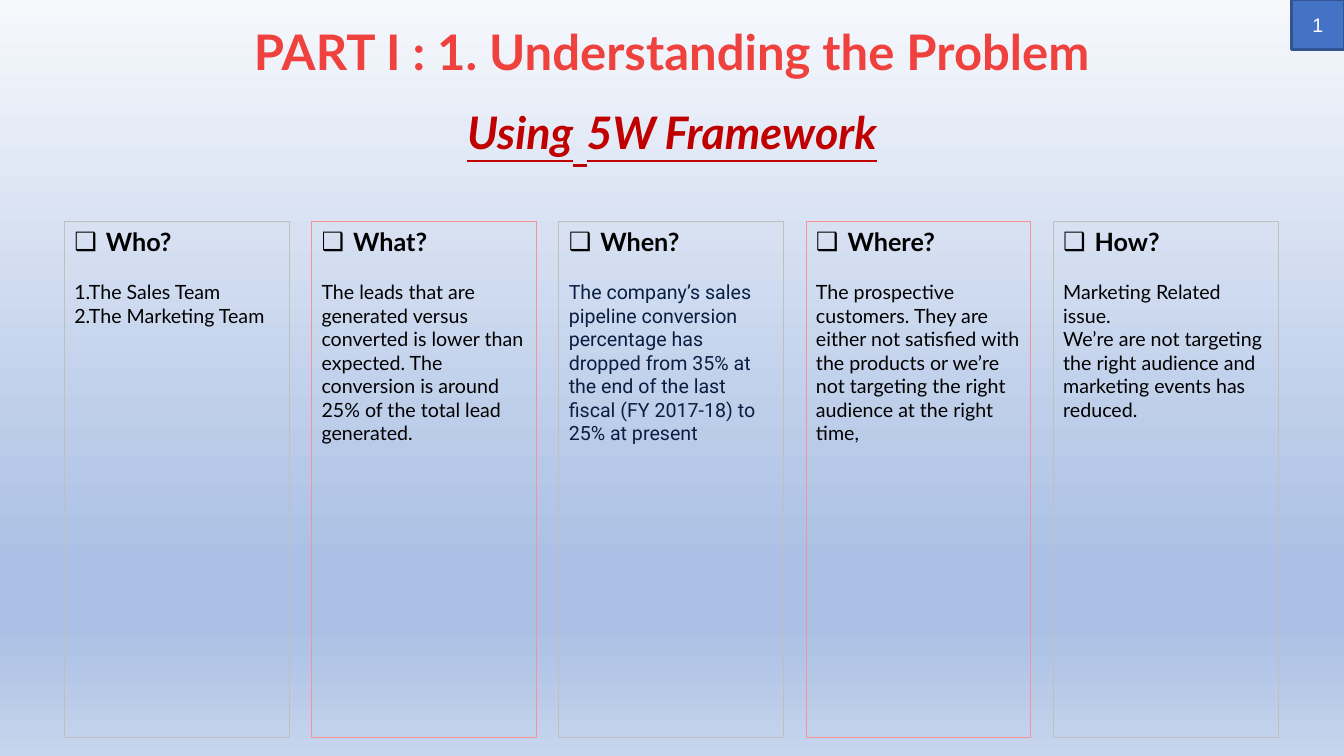
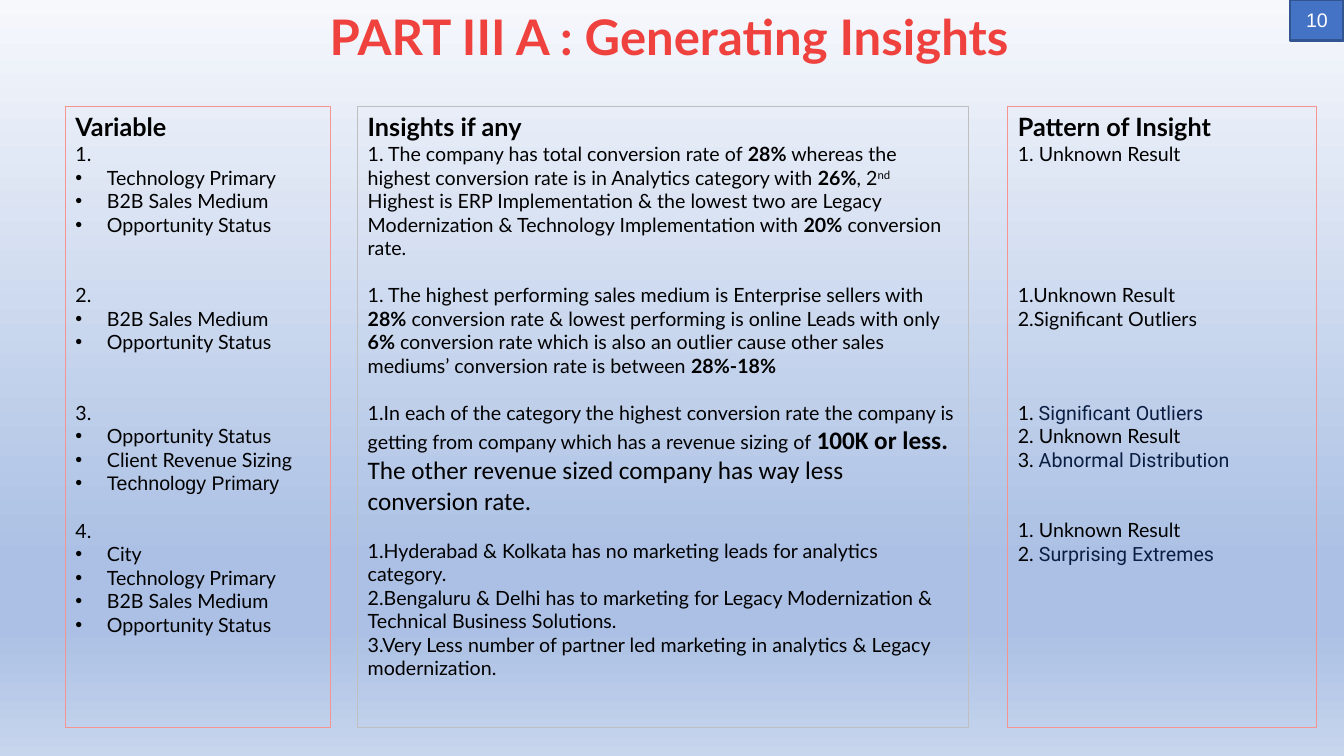
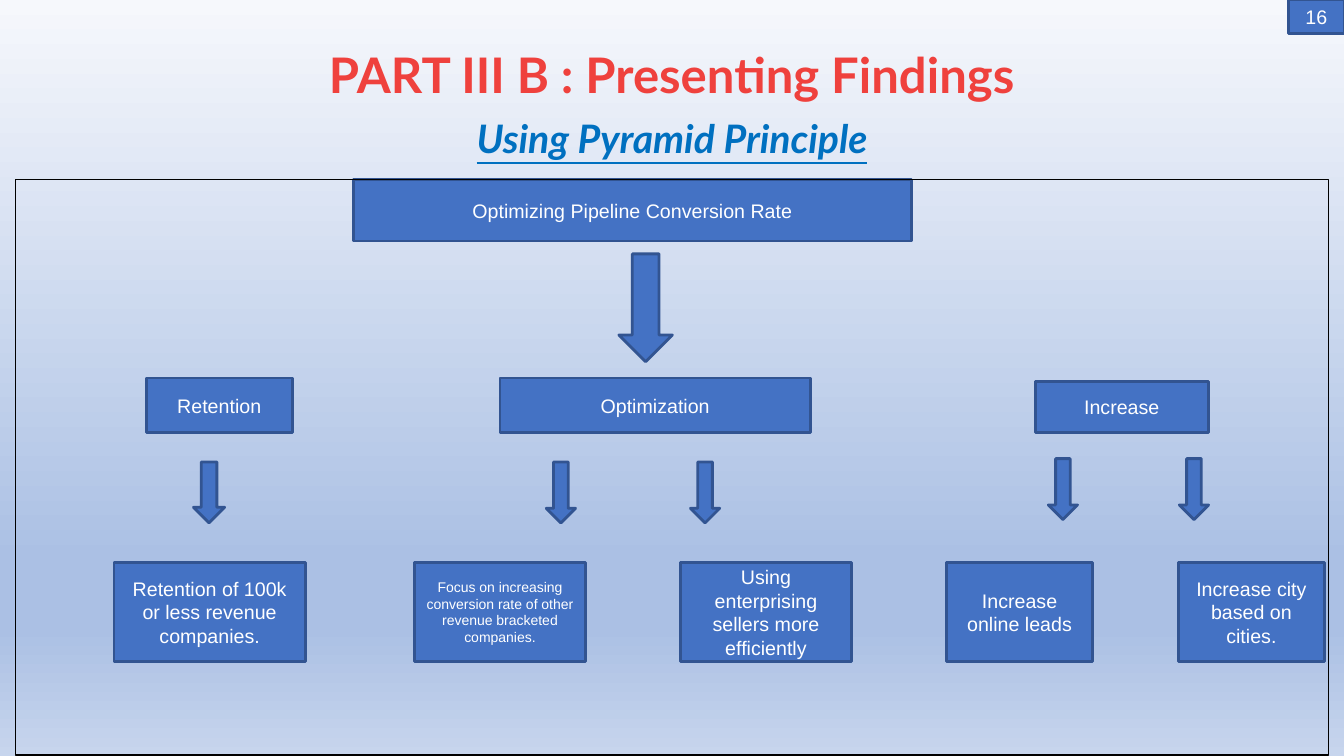
from lxml import etree
from pptx import Presentation
from pptx.dml.color import RGBColor
from pptx.enum.shapes import MSO_SHAPE
from pptx.enum.text import MSO_ANCHOR, PP_ALIGN
from pptx.oxml.ns import qn
from pptx.util import Pt

RECT, ARROW = MSO_SHAPE.RECTANGLE, MSO_SHAPE.DOWN_ARROW
TOP, MIDDLE = MSO_ANCHOR.TOP, MSO_ANCHOR.MIDDLE
LEFT, CENTER = PP_ALIGN.LEFT, PP_ALIGN.CENTER

# Shared look
WIDE, HIGH = 960, 540
ROW = 16.8  # one line of body text
COLORS = {
    "title": "EF413D", "red": "C00000", "azure": "0070C0",
    "black": "000000", "white": "FFFFFF", "navy": "091E42",
    "gray": "BFBFBF", "pink": "F69492",
    "block": "4472C4", "edge": "325491",
}
STOPS = [(0, "F6F8FC"), (74, "ABC0E4"), (83, "ABC0E4"), (100, "C7D5ED")]


def font(size, name="Lato", color="black", **more):
    return {"size": Pt(size), "name": name, "color": color, **more}


SUB = {"bold": True, "italic": True, "underline": True}
FORMATS = {
    "title": font(35, color="title", bold=True),
    "sub red": font(32, color="red", **SUB),
    "sub gap": font(44, color="red", **SUB),
    "sub blue": font(28, color="azure", **SUB),
    "head": font(18, bold=True),
    "body": font(14),
    "bold": font(14, bold=True),
    "super": font(14),
    "big": font(18, "Calibri"),
    "big bold": font(18, "Calibri", bold=True),
    "arial": font(14, "Arial"),
    "navy": font(14, "Roboto", "navy"),
    "block": font(14, "Arial", "white"),
    "small": font(10, "Arial", "white"),
}


# Text
def line(*runs, gap=0, mark=None):
    """A paragraph: runs are body text or (format, text) pairs."""
    return {"runs": runs, "gap": gap, "mark": mark}


def bullets(*items):
    return [line(item, mark="•") for item in items]


def add_run(para, item):
    kind, text = ("body", item) if isinstance(item, str) else item
    run = para.add_run()
    run.text = text
    for key, value in FORMATS[kind].items():
        if key == "color":
            run.font.color.rgb = RGBColor.from_string(COLORS[value])
        else:
            setattr(run.font, key, value)
    if kind == "super":
        run._r.get_or_add_rPr().set("baseline", "30000")


def write(shape, lines, align=LEFT, anchor=TOP, space=None):
    frame = shape.text_frame
    frame.word_wrap = True
    frame.vertical_anchor = anchor
    for i, item in enumerate(lines):
        para = frame.add_paragraph() if i else frame.paragraphs[0]
        para.alignment = align
        if space:
            para.line_spacing = space
        if item["gap"]:
            para.space_before = Pt(item["gap"])
        if item["mark"]:
            props = para._p.get_or_add_pPr()
            props.set("marL", str(Pt(22.5)))
            props.set("indent", str(-Pt(22.5)))
            etree.SubElement(props, qn("a:buFont")).set("typeface", "Arial")
            etree.SubElement(props, qn("a:buChar")).set("char", item["mark"])
        for run in item["runs"]:
            add_run(para, run)


# Shapes
def add_box(slide, kind, area, edge, width, fill=None):
    box = slide.shapes.add_shape(kind, *map(Pt, area))
    box.shadow.inherit = False
    box.line.color.rgb = RGBColor.from_string(COLORS[edge])
    box.line.width = Pt(width)
    if fill:
        box.fill.solid()
        box.fill.fore_color.rgb = RGBColor.from_string(COLORS[fill])
    else:
        box.fill.background()
    return box


def add_panel(slide, area, edge, lines):
    write(add_box(slide, RECT, area, edge, 0.75), lines)


def add_block(slide, area, text, kind="block"):
    box = add_box(slide, RECT, area, "edge", 2, "block")
    write(box, [line((kind, text))], CENTER, MIDDLE)


def add_arrow(slide, area):
    add_box(slide, ARROW, area, "edge", 2, "block")


def add_title(slide, text, top, *sub, left=66):
    box = slide.shapes.add_textbox(Pt(left), Pt(top), Pt(828), Pt(100))
    lines = [line(("title", text))]
    if sub:
        lines.append(line(*sub, gap=10.8))
    write(box, lines, CENTER, space=0.9)


def add_badge(slide, number, wide, high):
    add_block(slide, (WIDE - wide, 0, wide, high), str(number))


def set_back(master):
    fill = master.background.fill
    fill.gradient()
    fill.gradient_angle = 270
    stops = master.element.find(".//" + qn("p:bg")).find(".//" + qn("a:gsLst"))
    for stop in list(stops):
        stops.remove(stop)
    for place, color in STOPS:
        stop = etree.SubElement(stops, qn("a:gs"))
        stop.set("pos", str(place * 1000))
        etree.SubElement(stop, qn("a:srgbClr")).set("val", color)


# Slide 1: five questions
def add_problem(slide):
    add_title(slide, "PART I : 1. Understanding the Problem", 16.8,
              ("sub red", "Using"), ("sub gap", " "),
              ("sub red", "5W Framework"))
    columns = [
        ("Who?", ["1.The Sales Team", "2.The Marketing Team"]),
        ("What?", ["The leads that are generated versus converted is lower "
                   "than expected. The conversion is around 25% of the total "
                   "lead generated."]),
        ("When?", [("navy", "The company’s sales pipeline conversion "
                    "percentage has dropped from 35% at the end of the last "
                    "fiscal (FY 2017-18) to 25% at present")]),
        ("Where?", ["The prospective customers. They are either not satisfied "
                    "with the products or we’re not targeting the right "
                    "audience at the right time,"]),
        ("How?", ["Marketing Related issue.",
                  "We’re are not targeting the right audience and marketing "
                  "events has reduced."]),
    ]
    for i, (head, texts) in enumerate(columns):
        lines = [line(("head", head), mark="❑")]
        lines += [line(text, gap=0 if j else ROW)
                  for j, text in enumerate(texts)]
        add_panel(slide, (46 + i * 176.6, 158.2, 160.6, 368.8),
                  "pink" if i % 2 else "gray", lines)
    add_badge(slide, 1, 37.5, 35.3)


# Slide 2: variables, insights and patterns
def add_insight(slide):
    add_title(slide, "PART III A : Generating Insights", 6, left=64)
    variables = [
        line(("head", "Variable")),
        line("1."),
        *bullets("Technology Primary", "B2B Sales Medium",
                 "Opportunity Status"),
        line("2.", gap=2 * ROW),
        *bullets("B2B Sales Medium", "Opportunity Status"),
        line("3.", gap=2 * ROW),
        *bullets("Opportunity Status", "Client Revenue Sizing",
                 ("arial", "Technology Primary")),
        line("4.", gap=ROW),
        *bullets("City", "Technology Primary", "B2B Sales Medium",
                 "Opportunity Status"),
    ]
    insights = [
        line(("head", "Insights if any")),
        line("1. The company has total conversion rate of ", ("bold", "28%"),
             " whereas the highest conversion rate is in Analytics category "
             "with ", ("bold", "26%"), ", 2", ("super", "nd"),
             " Highest is ERP Implementation & the lowest two are Legacy "
             "Modernization & Technology Implementation with ",
             ("bold", "20%"), " conversion rate."),
        line("1. The highest performing sales medium is Enterprise sellers "
             "with ", ("bold", "28%"), " conversion rate & lowest performing "
             "is online Leads with only ", ("bold", "6% "),
             "conversion rate which is also an outlier cause other sales "
             "mediums’ conversion rate is between ", ("bold", "28%-18%"),
             gap=ROW),
        line("1.In each of the category the highest conversion rate the "
             "company is getting from company which has a revenue sizing of ",
             ("big bold", "100K or less. "),
             ("big", "The other revenue sized company has way less "
              "conversion rate."), gap=ROW),
        line("1.Hyderabad & Kolkata has no marketing leads for analytics "
             "category.", gap=ROW),
        line("2.Bengaluru & Delhi has to marketing for Legacy Modernization "
             "& Technical Business Solutions."),
        line("3.Very Less number of partner led marketing in analytics & "
             "Legacy modernization."),
    ]
    patterns = [
        line(("head", "Pattern of Insight")),
        line("1. Unknown Result"),
        line("1.Unknown Result", gap=5 * ROW),
        line("2.Significant Outliers"),
        line("1.", ("navy", " Significant Outliers"), gap=3 * ROW),
        line("2. Unknown Result"),
        line("3.", ("navy", " Abnormal Distribution")),
        line("1. Unknown Result", gap=2 * ROW),
        line("2. ", ("navy", "Surprising Extremes")),
    ]
    for left, wide, edge, lines in [
        (46.8, 189.4, "pink", variables),
        (255.6, 436.3, "gray", insights),
        (720, 220.3, "pink", patterns),
    ]:
        add_panel(slide, (left, 76.3, wide, 443.5), edge, lines)
    add_badge(slide, 10, 38.5, 28.8)


# Slide 3: pyramid of findings
def add_finding(slide):
    add_title(slide, "PART III B : Presenting Findings", 33,
              ("sub blue", "Using Pyramid Principle"))
    add_block(slide, (252.7, 128.2, 398.2, 43.9),
              "Optimizing Pipeline Conversion Rate")
    add_arrow(slide, (442.1, 181.4, 38.2, 77))
    for left, top, wide, text in [
        (104.4, 270, 104.4, "Retention"),
        (357.1, 270, 221.8, "Optimization"),
        (739.4, 272.2, 123.8, "Increase"),
    ]:
        add_block(slide, (left, top, wide, 308.9 - top), text)
    for left, top, wide in [(138.2, 330, 22.3), (390.2, 330, 20.9),
                            (493.2, 330, 20.9), (748.8, 327.6, 20.9),
                            (842.4, 327.6, 20.9)]:
        add_arrow(slide, (left, top, wide, 43.5))
    for left, wide, kind, text in [
        (81.4, 136.8, "block", "Retention of 100k or less revenue companies."),
        (295.9, 122.4, "small", "Focus on increasing conversion rate of other "
         "revenue bracketed companies."),
        (486, 122.4, "block", "Using enterprising sellers more efficiently"),
        (676.1, 104.4, "block", "Increase online leads"),
        (841.7, 104.4, "block", "Increase city based on cities."),
    ]:
        add_block(slide, (left, 401.8, wide, 70.6), text, kind)
    add_box(slide, RECT, (10.8, 128.2, 938.2, 411.1), "black", 0.75)
    add_badge(slide, 16, 39.5, 23.8)


def main():
    deck = Presentation()
    deck.slide_width, deck.slide_height = Pt(WIDE), Pt(HIGH)
    set_back(deck.slide_master)
    for fill in (add_problem, add_insight, add_finding):
        fill(deck.slides.add_slide(deck.slide_layouts[6]))
    deck.save("out.pptx")


if __name__ == "__main__":
    main()
